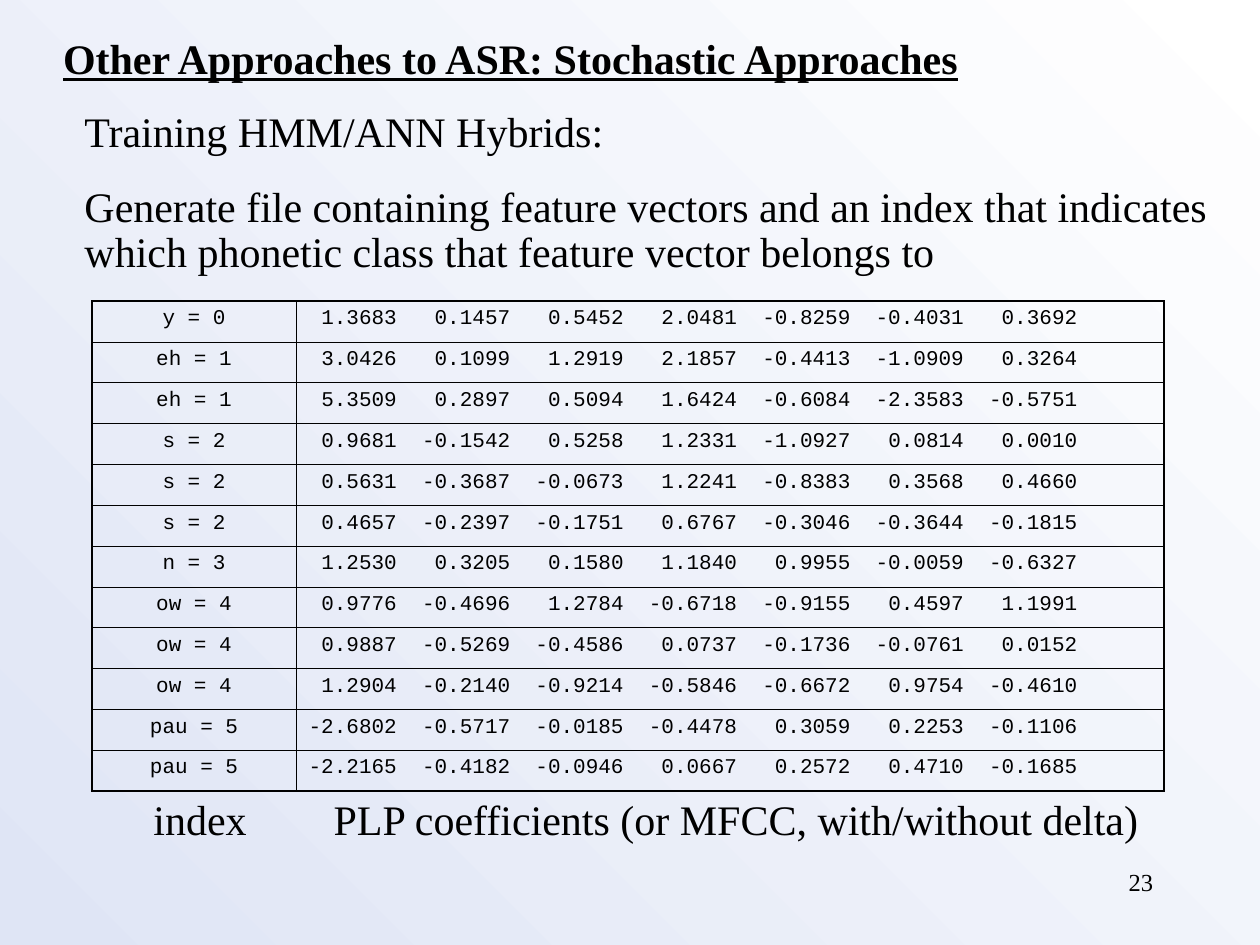
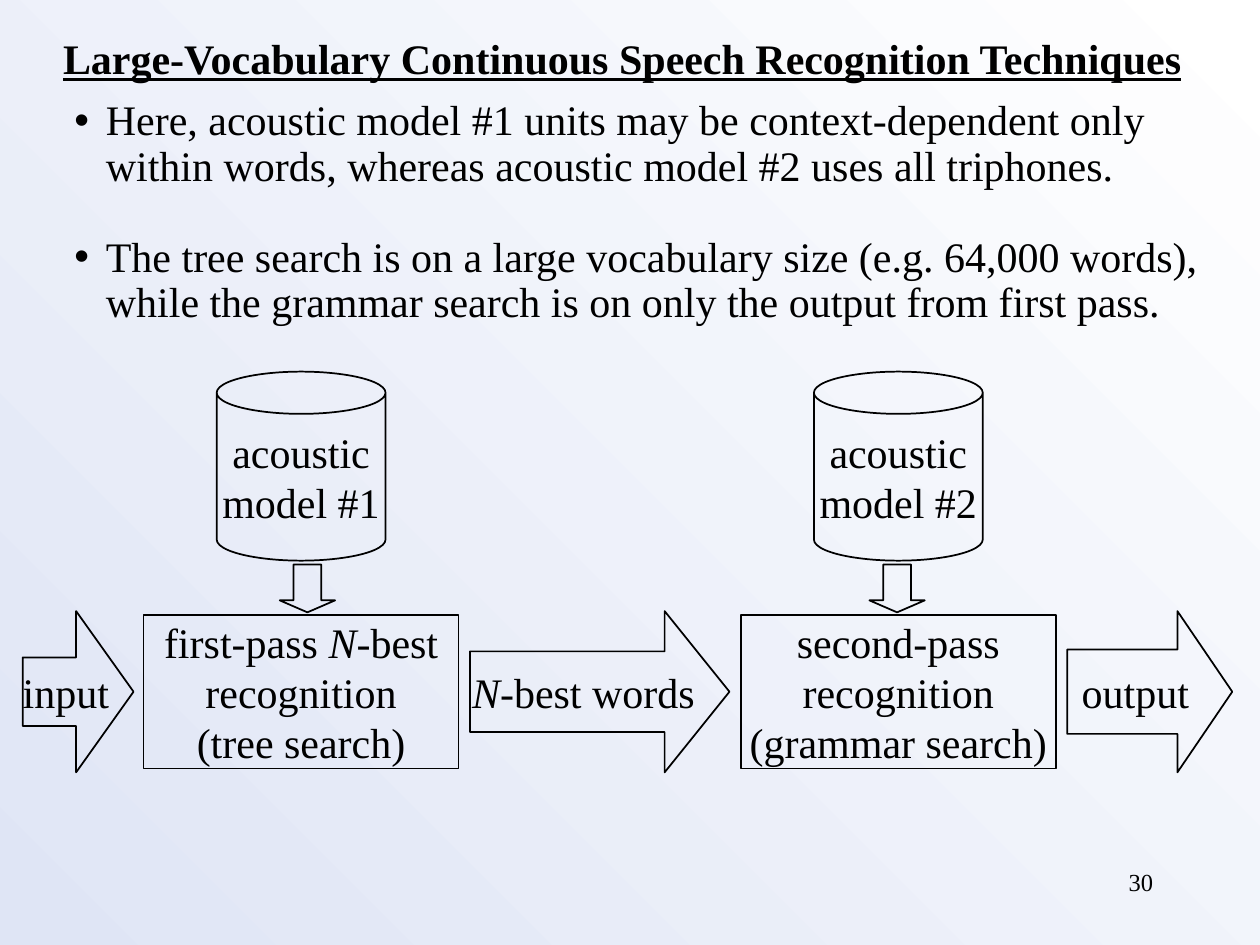
from lxml import etree
from pptx import Presentation
from pptx.dml.color import RGBColor
from pptx.enum.shapes import MSO_SHAPE
from pptx.enum.text import MSO_ANCHOR, MSO_AUTO_SIZE, PP_ALIGN
from pptx.oxml.ns import qn
from pptx.util import Inches, Pt

BLACK = RGBColor(0x00, 0x00, 0x00)
WHITE = RGBColor(0xFF, 0xFF, 0xFF)
PALE_BLUE = RGBColor(0xDF, 0xE5, 0xF5)
SERIF, MONO = "Times New Roman", "Courier New"
LEFT, CENTER, RIGHT = PP_ALIGN.LEFT, PP_ALIGN.CENTER, PP_ALIGN.RIGHT
TOP, MIDDLE = MSO_ANCHOR.TOP, MSO_ANCHOR.MIDDLE
NO_AUTOSIZE = MSO_AUTO_SIZE.NONE
CAN, PROCESS = MSO_SHAPE.CAN, MSO_SHAPE.FLOWCHART_PROCESS
RIGHT_ARROW, DOWN_ARROW = MSO_SHAPE.RIGHT_ARROW, MSO_SHAPE.DOWN_ARROW

HYBRID = {
    "title": "Other Approaches to ASR: Stochastic Approaches",
    "title_width": 7.37,
    "body": ["Training HMM/ANN Hybrids:",
             "Generate file containing feature vectors and an index that indicates "
             "which phonetic class that feature vector belongs to"],
    "body_box": (0.57, 0.83, 9.2, 1.5),
    "gap": 17,
    "bulleted": False,
    "number": "23",
}
VOCABULARY = {
    "title": "Large-Vocabulary Continuous Speech Recognition Techniques",
    "title_width": 9.14,
    "body": ["Here, acoustic model #1 units may be context-dependent only "
             "within words, whereas acoustic model #2 uses all triphones.",
             "The tree search is on a large vocabulary size (e.g. 64,000 words), "
             "while the grammar search is on only the output from first pass."],
    "body_box": (0.49, 0.74, 9.2, 1.91),
    "gap": 26,
    "bulleted": True,
    "number": "30",
}

FEATURES = [
    ("y = 0", (1.3683, 0.1457, 0.5452, 2.0481, -0.8259, -0.4031, 0.3692)),
    ("eh = 1", (3.0426, 0.1099, 1.2919, 2.1857, -0.4413, -1.0909, 0.3264)),
    ("eh = 1", (5.3509, 0.2897, 0.5094, 1.6424, -0.6084, -2.3583, -0.5751)),
    ("s = 2", (0.9681, -0.1542, 0.5258, 1.2331, -1.0927, 0.0814, 0.0010)),
    ("s = 2", (0.5631, -0.3687, -0.0673, 1.2241, -0.8383, 0.3568, 0.4660)),
    ("s = 2", (0.4657, -0.2397, -0.1751, 0.6767, -0.3046, -0.3644, -0.1815)),
    ("n = 3", (1.2530, 0.3205, 0.1580, 1.1840, 0.9955, -0.0059, -0.6327)),
    ("ow = 4", (0.9776, -0.4696, 1.2784, -0.6718, -0.9155, 0.4597, 1.1991)),
    ("ow = 4", (0.9887, -0.5269, -0.4586, 0.0737, -0.1736, -0.0761, 0.0152)),
    ("ow = 4", (1.2904, -0.2140, -0.9214, -0.5846, -0.6672, 0.9754, -0.4610)),
    ("pau = 5", (-2.6802, -0.5717, -0.0185, -0.4478, 0.3059, 0.2253, -0.1106)),
    ("pau = 5", (-2.2165, -0.4182, -0.0946, 0.0667, 0.2572, 0.4710, -0.1685)),
]
TABLE_BOX = (0.73, 2.39, 8.51, 3.89)
COLUMN_WIDTHS = (1.62, 6.89)
FIRST_TAB, TAB_STEP = 0.7, 0.9
OUTER_LINE, INNER_LINE = 1.08, 0.45
COLUMN_LABELS = [
    ("PLP coefficients (or MFCC, with/without delta)", (2.55, 6.25, 6.6, 0.5)),
    ("index", (1.12, 6.25, 0.94, 0.5)),
]

STAGE_STEP = 4.74
STAGES = [
    {"model": ["acoustic", "model #1"], "feed_left": 2.22,
     "search": [[("first-pass ", False), ("N", True), ("-best", False)],
                "recognition", "(tree search)"]},
    {"model": ["acoustic", "model #2"], "feed_left": 6.9,
     "search": ["second-pass", "recognition", "(grammar search)"]},
]
FLOW_ARROWS = [
    ("input", 0.18, 0.88, (0.425, 0.518)),
    ([("N", True), ("-best words", False)], 3.73, 2.06, (0.5, 0.402)),
    ("output", 8.47, 1.31, (0.523, 0.34)),
]


def inches(box):
    return [Inches(length) for length in box]


def write_paragraph(paragraph, content, size=24, font=SERIF, align=LEFT, strong=False):
    paragraph.alignment = align
    runs = [(content, False)] if isinstance(content, str) else content
    for text, italic in runs:
        run = paragraph.add_run()
        run.text = text
        run.font.name = font
        run.font.size = Pt(size)
        run.font.color.rgb = BLACK
        run.font.italic = italic
        run.font.bold = run.font.underline = strong


def write_frame(frame, contents, wrap=False, anchor=TOP, **style):
    frame.word_wrap = wrap
    frame.auto_size = NO_AUTOSIZE
    frame.vertical_anchor = anchor
    frame.margin_left = frame.margin_right = Inches(0.1)
    frame.margin_top = frame.margin_bottom = Inches(0.05)
    for position, content in enumerate(contents):
        paragraph = frame.paragraphs[0] if position == 0 else frame.add_paragraph()
        write_paragraph(paragraph, content, **style)


def place(shape, box):
    shape.left, shape.top, shape.width, shape.height = inches(box)


def add_label(slide, text, box, **style):
    write_frame(slide.shapes.add_textbox(*inches(box)).text_frame, [text], **style)


def add_slide(presentation, content):
    slide = presentation.slides.add_slide(presentation.slide_layouts[1])
    title, body = slide.placeholders
    place(title, (0.4, 0.21, content["title_width"], 0.5))
    write_frame(title.text_frame, [content["title"]], strong=True)
    place(body, content["body_box"])
    write_frame(body.text_frame, content["body"], wrap=True)
    hanging = Inches(0.25) if content["bulleted"] else 0
    for position, paragraph in enumerate(body.text_frame.paragraphs):
        paragraph.line_spacing = 0.9
        paragraph.space_before = Pt(content["gap"] if position else 0)
        properties = paragraph._p.get_or_add_pPr()
        properties.set("marL", str(hanging))
        properties.set("indent", str(-hanging))
        if content["bulleted"]:
            etree.SubElement(properties, qn("a:buChar"), char="•")
        else:
            etree.SubElement(properties, qn("a:buNone"))
    add_label(slide, content["number"], (7.17, 6.83, 2.08, 0.5),
              wrap=True, size=14, align=RIGHT)
    return slide


def set_borders(cell, widths):
    properties = cell._tc.get_or_add_tcPr()
    for side, width in zip(("lnL", "lnR", "lnT", "lnB"), widths):
        line = etree.SubElement(properties, qn(f"a:{side}"), w=str(Pt(width)))
        fill = etree.SubElement(line, qn("a:solidFill"))
        etree.SubElement(fill, qn("a:srgbClr"), val=str(BLACK))
    cell.fill.background()


def add_right_tabs(paragraph, count):
    tabs = etree.SubElement(paragraph._p.get_or_add_pPr(), qn("a:tabLst"))
    for index in range(count):
        position = Inches(FIRST_TAB + TAB_STEP * index)
        etree.SubElement(tabs, qn("a:tab"), pos=str(position), algn="r")


def add_feature_table(slide):
    last_row, last_column = len(FEATURES) - 1, len(COLUMN_WIDTHS) - 1
    table = slide.shapes.add_table(last_row + 1, last_column + 1, *inches(TABLE_BOX)).table
    table.first_row = table.horz_banding = False
    for column, width in zip(table.columns, COLUMN_WIDTHS):
        column.width = Inches(width)
    for row, (phone, coefficients) in enumerate(FEATURES):
        vector = "".join(f"\t{value:.4f}" for value in coefficients)
        for column, (text, align) in enumerate([(phone, CENTER), (vector, LEFT)]):
            cell = table.cell(row, column)
            paragraph = cell.text_frame.paragraphs[0]
            write_paragraph(paragraph, text, size=12, font=MONO, align=align)
            paragraph.space_before = Pt(3)
            if text is vector:
                add_right_tabs(paragraph, len(coefficients))
            on_edge = (column == 0, column == last_column, row == 0, row == last_row)
            set_borders(cell, [OUTER_LINE if edge else INNER_LINE for edge in on_edge])


def add_outline(slide, kind, box, contents=(), adjustments=()):
    shape = slide.shapes.add_shape(kind, *inches(box))
    shape.shadow.inherit = False
    shape.fill.background()
    shape.line.color.rgb = BLACK
    shape.line.width = Pt(1)
    for index, value in enumerate(adjustments):
        shape.adjustments[index] = value
    write_frame(shape.text_frame, contents, anchor=MIDDLE, align=CENTER)


def add_recognition_flow(slide):
    for index, stage in enumerate(STAGES):
        offset = index * STAGE_STEP
        add_outline(slide, CAN, (1.72 + offset, 2.95, 1.34, 1.5), stage["model"], [0.25])
        add_outline(slide, PROCESS, (1.14 + offset, 4.88, 2.5, 1.22), stage["search"])
        add_outline(slide, DOWN_ARROW, (stage["feed_left"], 4.48, 0.44, 0.38),
                    adjustments=(0.5, 0.25))
    for label, left, width, adjustments in FLOW_ARROWS:
        add_outline(slide, RIGHT_ARROW, (left, 4.85, width, 1.28), [label], adjustments)


def main():
    """Build the two speech recognition slides."""
    presentation = Presentation()
    presentation.slide_width, presentation.slide_height = Inches(10), Inches(7.5)
    background = presentation.slide_master.background.fill
    background.gradient()
    background.gradient_angle = 225
    for stop, color in zip(background.gradient_stops, (WHITE, PALE_BLUE)):
        stop.color.rgb = color

    hybrid_slide = add_slide(presentation, HYBRID)
    add_feature_table(hybrid_slide)
    for text, box in COLUMN_LABELS:
        add_label(hybrid_slide, text, box)

    add_recognition_flow(add_slide(presentation, VOCABULARY))
    presentation.save("out.pptx")


if __name__ == "__main__":
    main()
